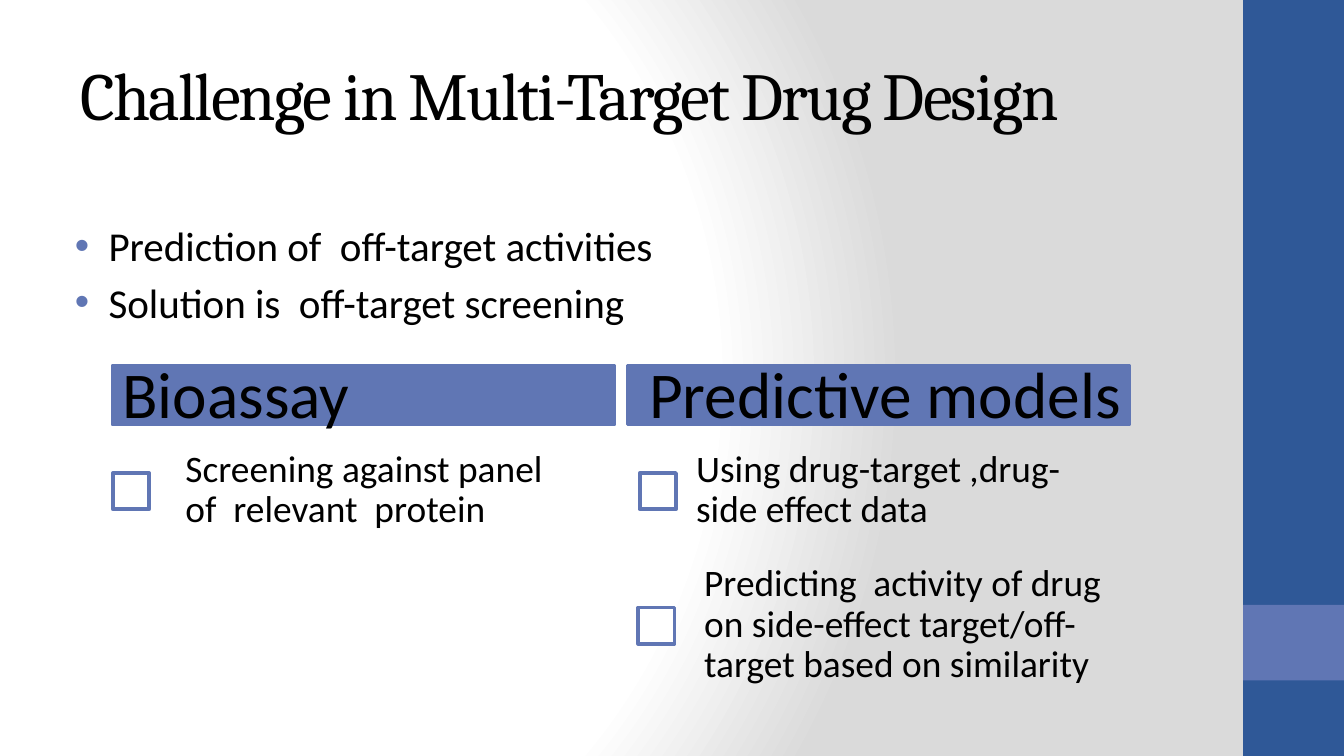
from lxml import etree
from pptx import Presentation
from pptx import util as u
from pptx.dml.color import RGBColor
from pptx.enum import shapes, text
from pptx.oxml import parse_xml
from pptx.oxml.ns import qn

NAVY = RGBColor(0x2F, 0x58, 0x97)
BLUE = RGBColor(0x60, 0x76, 0xB4)
WHITE = RGBColor(0xFF, 0xFF, 0xFF)
BLACK = RGBColor(0, 0, 0)

WIDTH = 10
HEIGHT = WIDTH * 9 / 16
BAND_WIDTH, BAND_HEIGHT = 3.73, 0.44
CHECKBOX = 0.27
ITEM_HEIGHT = 0.64

BACKGROUND = """
<p:bg xmlns:p="http://schemas.openxmlformats.org/presentationml/2006/main"
      xmlns:a="http://schemas.openxmlformats.org/drawingml/2006/main">
  <p:bgPr>
    <a:gradFill rotWithShape="1">
      <a:gsLst>
        <a:gs pos="0"><a:srgbClr val="FFFFFF"/></a:gs>
        <a:gs pos="75000"><a:srgbClr val="FFFFFF"/></a:gs>
        <a:gs pos="100000"><a:srgbClr val="DADADA"/></a:gs>
      </a:gsLst>
      <a:path path="circle">
        <a:fillToRect l="20000" t="50000" r="100000" b="50000"/>
      </a:path>
    </a:gradFill>
    <a:effectLst/>
  </p:bgPr>
</p:bg>"""


def add_rectangle(slide, box, fill, line=None, opacity=None):
    shape = slide.shapes.add_shape(shapes.MSO_SHAPE.RECTANGLE, *map(u.Inches, box))
    shape.shadow.inherit = False
    shape.fill.solid()
    shape.fill.fore_color.rgb = fill
    if opacity is not None:
        color = shape.fill._xPr.find(".//" + qn("a:srgbClr"))
        etree.SubElement(color, qn("a:alpha"), val=str(opacity * 1000))
    if line is None:
        shape.line.fill.background()
    else:
        shape.line.color.rgb = line
        shape.line.width = u.Pt(2)
    return shape


def add_text(slide, box, lines, size, font="Calibri", insets=(0.1, 0.05),
             anchor=text.MSO_ANCHOR.MIDDLE, spacing=None):
    shape = slide.shapes.add_textbox(*map(u.Inches, box))
    frame = shape.text_frame
    frame.word_wrap = True
    frame.vertical_anchor = anchor
    frame.margin_left = frame.margin_right = u.Inches(insets[0])
    frame.margin_top = frame.margin_bottom = u.Inches(insets[1])
    frame.text = "\n".join(lines)
    for paragraph in frame.paragraphs:
        paragraph.font.size = u.Pt(size)
        paragraph.font.name = font
        paragraph.font.color.rgb = BLACK
        paragraph.line_spacing = spacing
    return frame.paragraphs


def add_bullet(paragraph):
    properties = paragraph._p.get_or_add_pPr()
    properties.set("marL", str(u.Inches(0.38)))
    properties.set("indent", str(u.Inches(-0.25)))
    color = etree.Element(qn("a:buClr"))
    etree.SubElement(color, qn("a:srgbClr"), val=str(BLUE))
    font = etree.Element(qn("a:buFont"), typeface="Arial")
    mark = etree.Element(qn("a:buChar"), char="•")
    # Bullet settings stand before the default run properties
    defaults = properties.find(qn("a:defRPr"))
    for setting in (color, font, mark):
        defaults.addprevious(setting)


def add_sidebar(slide, left, width):
    add_rectangle(slide, (left, 0, width, HEIGHT), NAVY)
    add_rectangle(slide, (left, HEIGHT * 0.8, width, HEIGHT * 0.1), BLUE)


def add_title(slide, box, title):
    paragraph, = add_text(slide, box, [title], 36, font="Cambria")
    paragraph.runs[0].font._element.set("spc", "-100")


def add_bullets(slide, box, lines):
    paragraphs = add_text(slide, box, lines, 22, insets=(0.1, 0),
                          anchor=text.MSO_ANCHOR.TOP)
    for index, paragraph in enumerate(paragraphs):
        paragraph.space_before = u.Pt(4 if index else 0)
        add_bullet(paragraph)


def add_panel(slide, left, top, indent, heading, items):
    """Heading band over checkbox items; each item gives its offsets and width."""
    add_rectangle(slide, (left, top, BAND_WIDTH, BAND_HEIGHT), BLUE, BLUE)
    add_text(slide, (left + indent, top - 0.16, BAND_WIDTH, 0.79), [heading], 35,
             insets=(0.07, 0.05), spacing=0.9)
    for check_x, check_y, text_x, text_y, width, opacity, label in items:
        add_rectangle(slide, (left + check_x, top + check_y, CHECKBOX, CHECKBOX),
                      WHITE, BLUE, opacity)
        add_text(slide, (left + text_x, top + text_y, width, ITEM_HEIGHT), [label],
                 20, insets=(0.16, 0.16), spacing=0.9)


def main():
    presentation = Presentation()
    presentation.slide_width = u.Inches(WIDTH)
    presentation.slide_height = u.Inches(HEIGHT)
    slide = presentation.slides.add_slide(presentation.slide_layouts[6])
    slide.element.cSld.insert(0, parse_xml(BACKGROUND))

    add_sidebar(slide, 9.25, 0.75)
    add_title(slide, (0.5, 0.23, 8.33, 0.94), "Challenge in Multi-Target Drug Design")
    add_bullets(slide, (0.33, 1.64, 8.33, 1), [
        "Prediction of  off-target activities",
        "Solution is  off-target screening",
    ])

    # Two columns of screening methods
    add_panel(slide, 0.84, 2.72, 0, "Bioassay", [
        (0, 0.8, 0.38, 0.61, 3.08, 90, "Screening against panel of  relevant  protein"),
    ])
    add_panel(slide, 4.67, 2.72, 0.09, "Predictive models", [
        (0.09, 0.8, 0.35, 0.61, 3.47, 90, "Using drug-target ,drug-side effect data"),
        (0.08, 1.8, 0.41, 1.61, 3.47, None,
         "Predicting  activity of drug  on side-effect target/off-target based on similarity"),
    ])
    presentation.save("out.pptx")


if __name__ == "__main__":
    main()
